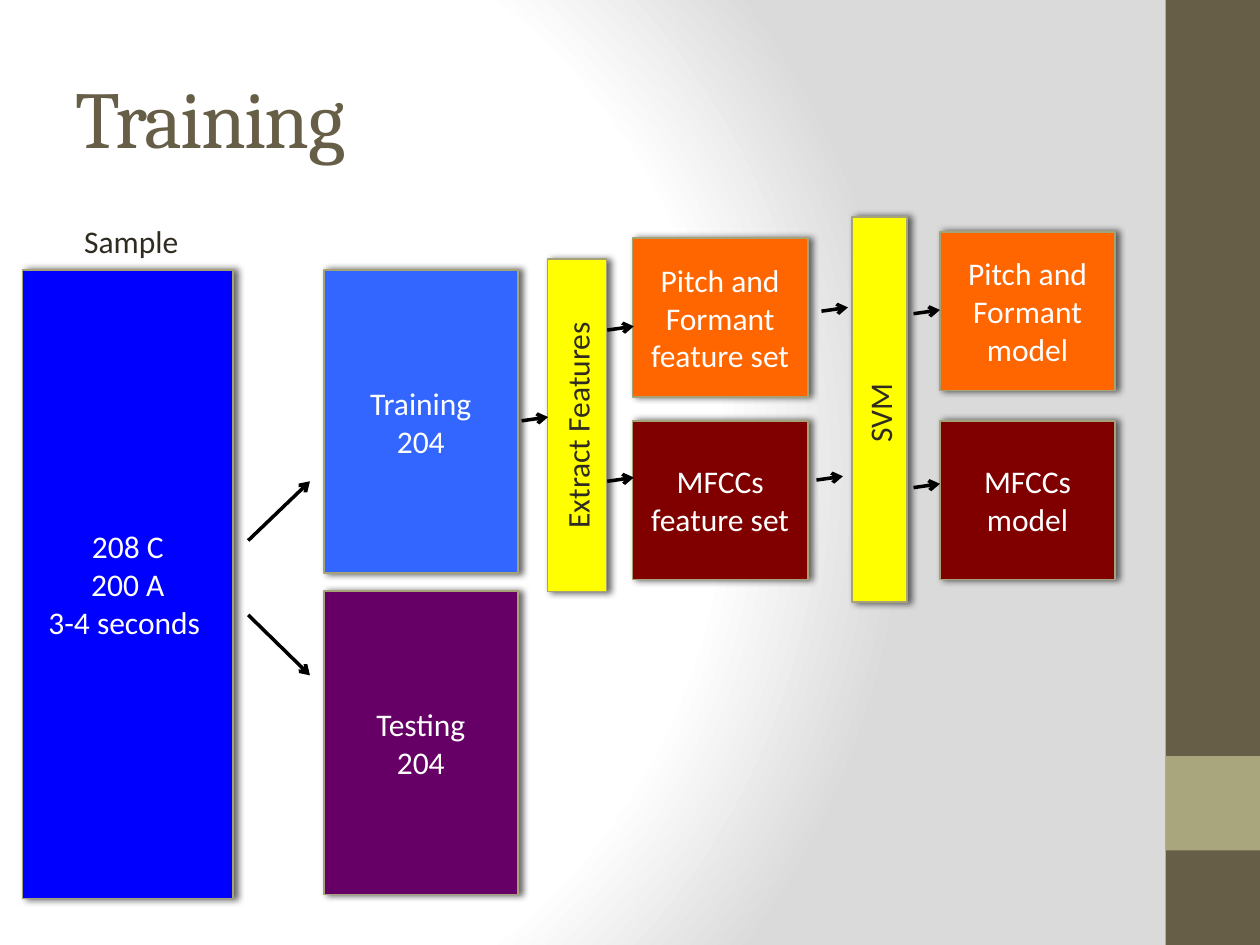
"""Build the slide showing how samples become trained SVM models."""
from lxml.etree import SubElement
from pptx import Presentation
from pptx.dml.color import RGBColor
from pptx.enum.shapes import MSO_CONNECTOR, MSO_SHAPE
from pptx.enum.text import MSO_ANCHOR, MSO_AUTO_SIZE, PP_ALIGN
from pptx.oxml import parse_xml
from pptx.oxml.ns import nsdecls, qn
from pptx.util import Inches, Pt

COLORS = {
    "brown": "675E47", "sand": "A9A57C", "edge": "A6A278", "ink": "2F2B20",
    "white": "FFFFFF", "black": "000000", "blue": "0000FF", "sky": "3366FF",
    "purple": "660066", "yellow": "FFFF00", "orange": "FF6600", "maroon": "800000",
}
SIDEBAR = [(0, 7.5, "brown"), (6, 0.75, "sand")]
SPLIT_SIZE = (1.54, 2.41)
CARD_SIZE = (1.39, 1.26)
SPLIT_LEFT, FEATURE_LEFT, MODEL_LEFT = 2.57, 5.02, 7.46
MFCC_TOP = 3.34
BOXES = [
    ("208 C\n200 A\n3-4 seconds ", (0.18, 2.14), (1.67, 4.99), "blue"),
    ("Training\n204", (SPLIT_LEFT, 2.14), SPLIT_SIZE, "sky"),
    ("Testing\n204", (SPLIT_LEFT, 4.69), SPLIT_SIZE, "purple"),
    ("Pitch and Formant feature set", (FEATURE_LEFT, 1.89), CARD_SIZE, "orange"),
    ("MFCCs feature set", (FEATURE_LEFT, MFCC_TOP), CARD_SIZE, "maroon"),
    ("Pitch and Formant model", (MODEL_LEFT, 1.84), CARD_SIZE, "orange"),
    ("MFCCs model", (MODEL_LEFT, MFCC_TOP), CARD_SIZE, "maroon"),
]
STAGES = [
    ("Extract Features", (3.26, 3.14), (2.64, 0.47)),
    ("SVM ", (5.45, 3.03), (3.06, 0.44)),
]
SPLIT_ARROWS = [((1.97, 4.29), (2.46, 3.82)), ((1.97, 4.88), (2.46, 5.36))]
STEP = (0.21, -0.03)
STEP_STARTS = [(4.14, 3.34), (4.82, 2.62), (4.82, 3.82), (6.52, 2.47),
               (6.48, 3.81), (7.25, 2.49), (7.25, 3.87)]


def color(name):
    return RGBColor.from_string(COLORS[name])


def style(font, name, size, ink):
    font.name, font.size, font.color.rgb = name, Pt(size), color(ink)


def add_rect(page, place, size, fill):
    box = page.shapes.add_shape(MSO_SHAPE.RECTANGLE, *map(Inches, place + size))
    box.shadow.inherit = False
    box.fill.solid()
    box.fill.fore_color.rgb = color(fill)
    box.line.fill.background()
    return box


def add_box(page, text, place, size, fill, ink="white", rotation=0):
    box = add_rect(page, place, size, fill)
    box.rotation = rotation
    box.line.color.rgb = color("edge")
    box.line.width = Pt(1)
    effects = box._element.spPr.find(qn("a:effectLst"))
    shadow = SubElement(effects, qn("a:outerShdw"), blurRad=str(Pt(4)), dist=str(Pt(2)),
                        dir="0", rotWithShape="0")
    shade = SubElement(shadow, qn("a:srgbClr"), val=COLORS["black"])
    SubElement(shade, qn("a:alpha"), val="60000")
    frame = box.text_frame
    frame.text = text
    frame.word_wrap = True
    frame.vertical_anchor = MSO_ANCHOR.MIDDLE
    for para in frame.paragraphs:
        para.alignment = PP_ALIGN.CENTER
        style(para.font, "Calibri", 18, ink)


def add_arrow(page, start, end):
    arrow = page.shapes.add_connector(MSO_CONNECTOR.STRAIGHT, *map(Inches, start + end))
    arrow.line.color.rgb = color("black")
    arrow.line.width = Pt(2)
    SubElement(arrow.line._get_or_add_ln(), qn("a:tailEnd"), type="arrow")
    SubElement(arrow._element.spPr, qn("a:effectLst"))


def set_background(page):
    page.background.fill.solid()
    props = page._element.find(".//" + qn("p:bgPr"))
    stops = "".join(f'<a:gs pos="{pos}000"><a:srgbClr val="{shade}"/></a:gs>'
                    for pos, shade in [(0, "FFFFFF"), (75, "FFFFFF"), (100, "DADADA")])
    props.replace(props[0], parse_xml(
        f'<a:gradFill {nsdecls("a")} rotWithShape="1"><a:gsLst>{stops}</a:gsLst>'
        '<a:path path="circle"><a:fillToRect l="20000" t="50000" r="100000" b="50000"/>'
        '</a:path></a:gradFill>'))


deck = Presentation()
deck.slide_width, deck.slide_height = Inches(10), Inches(7.5)
page = deck.slides.add_slide(deck.slide_layouts[5])
set_background(page)

for top, height, fill in SIDEBAR:
    add_rect(page, (9.25, top), (0.75, height), fill)

title = page.shapes.title
title.left, title.top, title.width, title.height = map(Inches, (0.5, 0.3, 8.33, 1.25))
title.text_frame.text = "Training"
title.text_frame.vertical_anchor = MSO_ANCHOR.MIDDLE
heading = title.text_frame.paragraphs[0]
heading.alignment = PP_ALIGN.LEFT
style(heading.font, "Cambria", 46, "brown")
heading.runs[0].font._element.set("spc", "-100")

label = page.shapes.add_textbox(*map(Inches, (0.57, 1.71, 0.96, 0.4)))
label.text_frame.text = "Sample"
label.text_frame.word_wrap = False
label.text_frame.auto_size = MSO_AUTO_SIZE.SHAPE_TO_FIT_TEXT
style(label.text_frame.paragraphs[0].font, "Calibri", 18, "ink")

for box in BOXES:
    add_box(page, *box)
for stage in STAGES:
    add_box(page, *stage, "yellow", "ink", 270)
for start, end in SPLIT_ARROWS:
    add_arrow(page, start, end)
for x, y in STEP_STARTS:
    add_arrow(page, (x, y), (x + STEP[0], y + STEP[1]))

deck.save("out.pptx")
